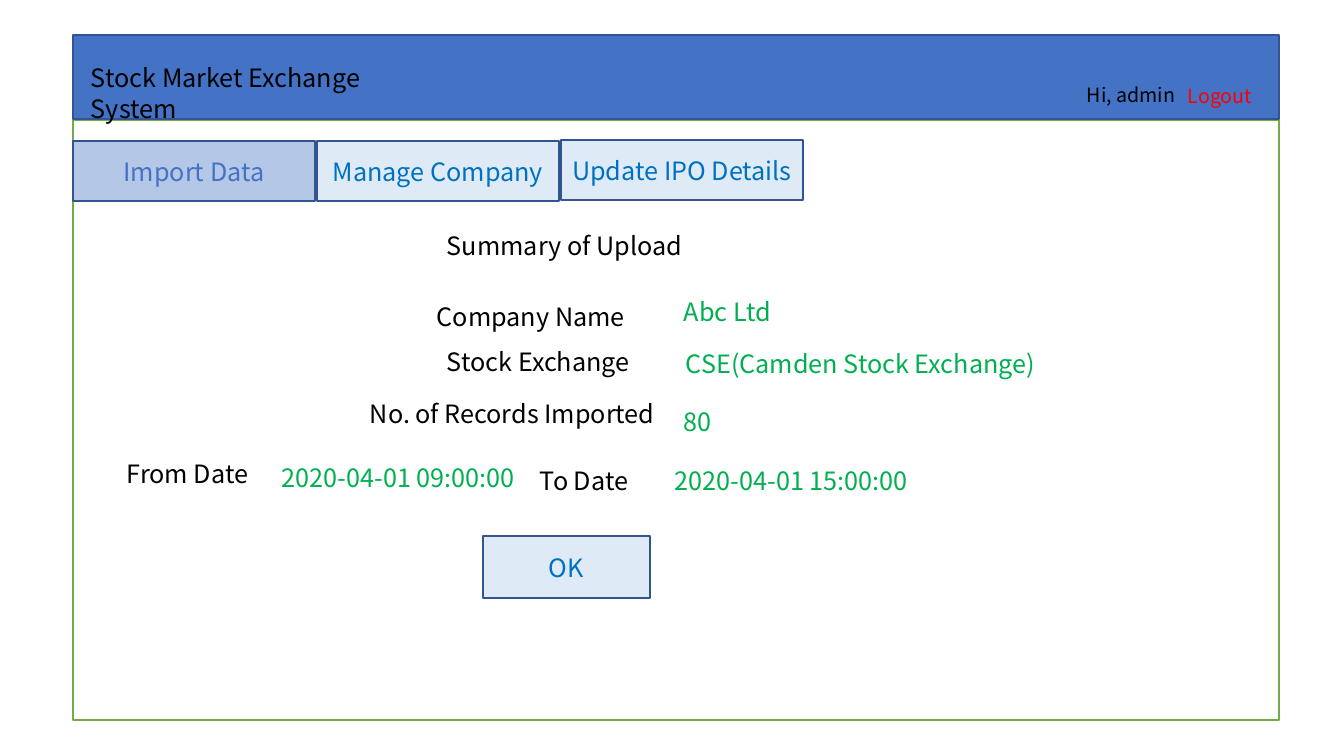
from pptx import Presentation
from pptx import util as u
from pptx.dml.color import RGBColor
from pptx.enum import shapes, text

PX = 914400 / 100.8
THEME = {
    "font": "Noto Sans CJK SC", "body": 18, "small": 14, "leading": 1.22, "rule": 1,
    "white": "FFFFFF", "ink": "000000", "value": "00B050", "alert": "FF0000",
    "header": "4472C4", "border": "325491", "frame": "70AD47",
    "active": "B4C7E7", "button": "DEEBF7", "link": "0070C0",
}


def write(holder, words, color, size="body", align=text.PP_ALIGN.LEFT):
    paragraph = holder.text_frame.paragraphs[0]
    points = THEME[size]
    layout = {"alignment": align, "line_spacing": u.Pt(round(points * THEME["leading"], 1))}
    for key, value in layout.items():
        setattr(paragraph, key, value)
    run = paragraph.add_run()
    run.text = words
    for key, value in {"name": THEME["font"], "size": u.Pt(points)}.items():
        setattr(run.font, key, value)
    run.font.color.rgb = RGBColor.from_string(THEME[color])


def panel(box, fill, border="border"):
    rect = slide.shapes.add_shape(shapes.MSO_SHAPE.RECTANGLE, *[round(n * PX) for n in box])
    rect.shadow.inherit = False
    rect.fill.solid()
    rect.fill.fore_color.rgb = RGBColor.from_string(THEME[fill])
    rect.line.color.rgb = RGBColor.from_string(THEME[border])
    rect.line.width = u.Pt(THEME["rule"])
    return rect


deck = Presentation()
deck.slide_width, deck.slide_height = round(1344 * PX), round(756 * PX)
slide = deck.slides.add_slide(deck.slide_layouts[6])

# Page frame and header bar
panel((73, 120, 1206, 600), "white", "frame")
panel((73, 35, 1206, 84), "header")

# Navigation tabs and confirm button
buttons = [
    ("Import Data", (73, 141, 242, 60), "active", "header"),
    ("Manage Company", (317, 141, 242, 60), "button", "link"),
    ("Update IPO Details", (561, 140, 242, 60), "button", "link"),
    ("OK", (483, 536, 167, 62), "button", "link"),
]
for words, box, fill, color in buttons:
    button = panel(box, fill)
    button.text_frame.word_wrap = True
    button.text_frame.vertical_anchor = text.MSO_ANCHOR.MIDDLE
    write(button, words, color, align=text.PP_ALIGN.CENTER)

# Header texts, upload summary labels and their values
captions = [
    ("Stock Market Exchange System", 81, 57, 373, "ink", "body"),
    ("Hi, admin", 1077, 78, 145, "ink", "small"),
    ("Logout", 1178, 79, 145, "alert", "small"),
    ("Summary of Upload", 437, 225, 503, "ink", "body"),
    ("Company Name", 427, 296, 257, "ink", "body"),
    ("Abc Ltd", 674, 291, 257, "value", "body"),
    ("Stock Exchange", 437, 341, 257, "ink", "body"),
    ("CSE(Camden Stock Exchange)", 676, 343, 422, "value", "body"),
    ("No. of Records Imported", 360, 393, 339, "ink", "body"),
    ("80", 674, 401, 257, "value", "body"),
    ("From Date", 117, 453, 155, "ink", "body"),
    ("2020-04-01 09:00:00", 272, 457, 257, "value", "body"),
    ("To Date", 530, 460, 155, "ink", "body"),
    ("2020-04-01 15:00:00", 665, 460, 257, "value", "body"),
]
heights = {"body": 40, "small": 34}
for words, left, top, width, color, size in captions:
    box = (left, top, width, heights[size])
    caption = slide.shapes.add_textbox(*[round(n * PX) for n in box])
    fit = {"word_wrap": True, "auto_size": text.MSO_AUTO_SIZE.SHAPE_TO_FIT_TEXT}
    for key, value in fit.items():
        setattr(caption.text_frame, key, value)
    write(caption, words, color, size)

deck.save("out.pptx")
